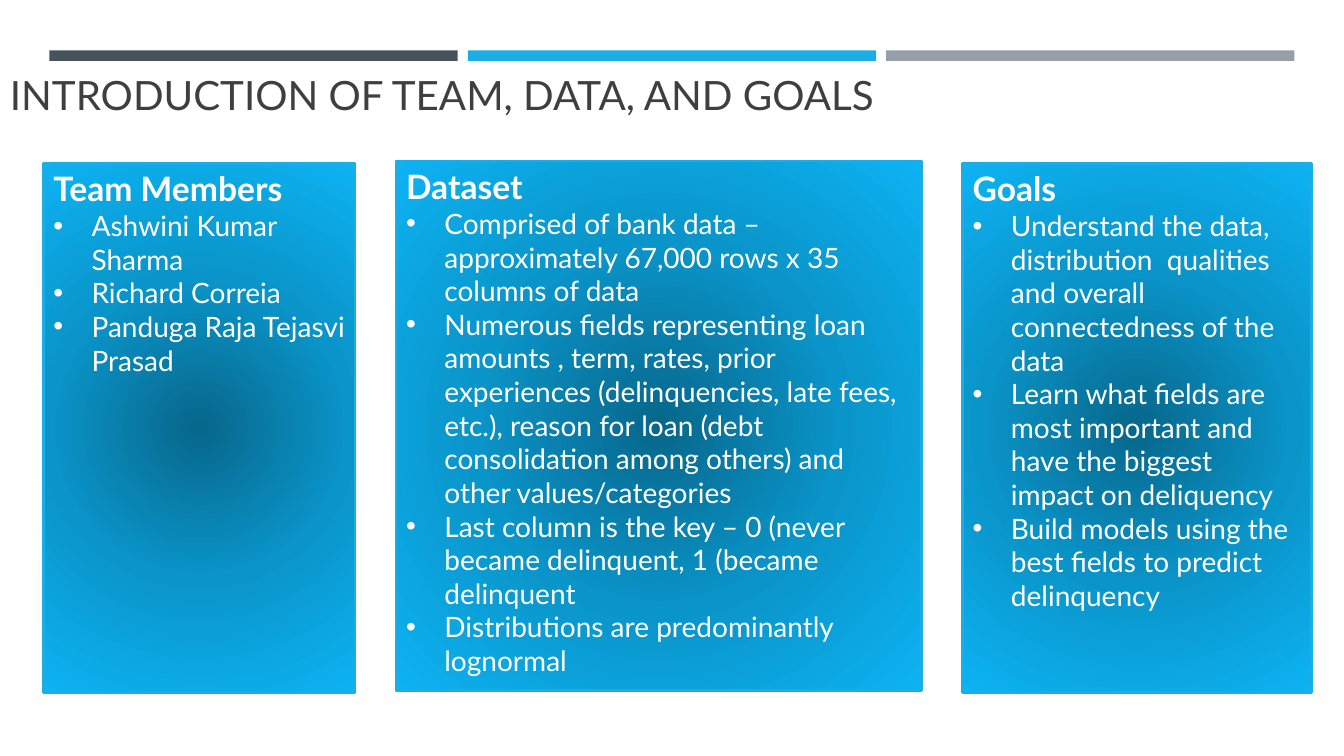
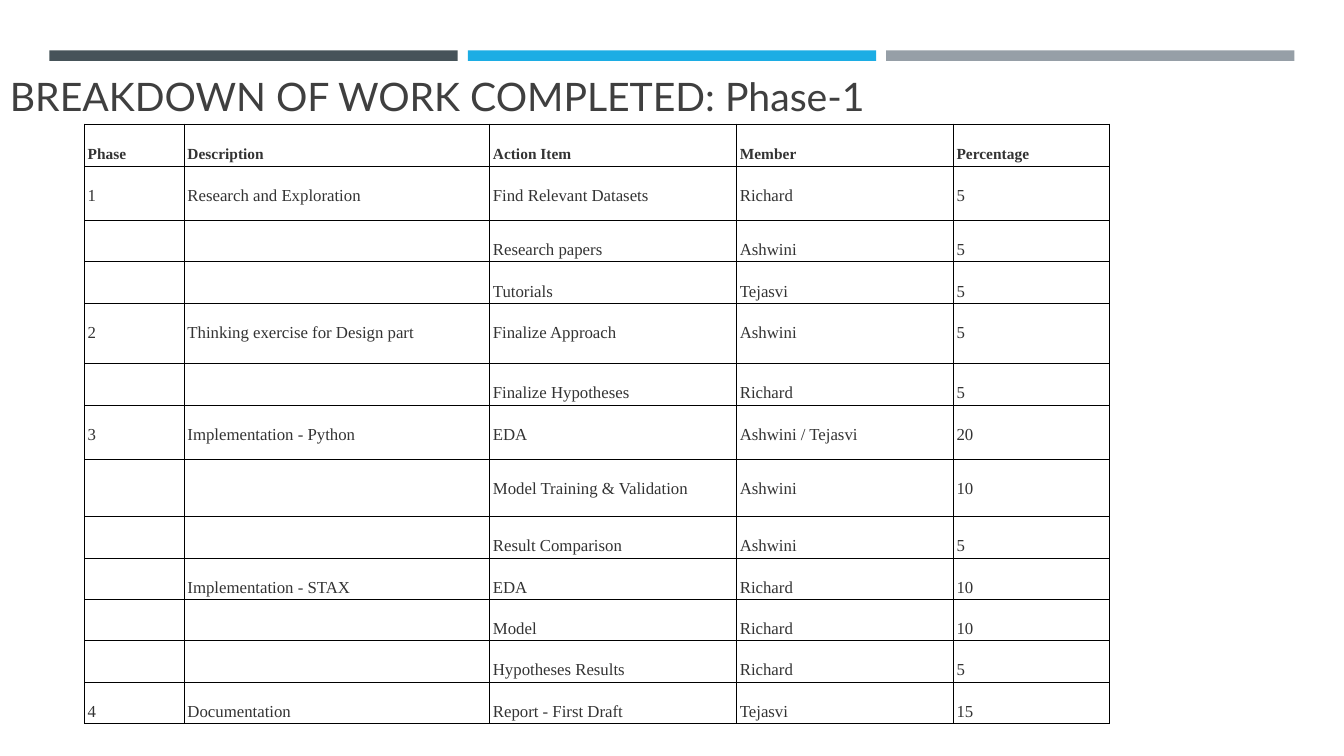
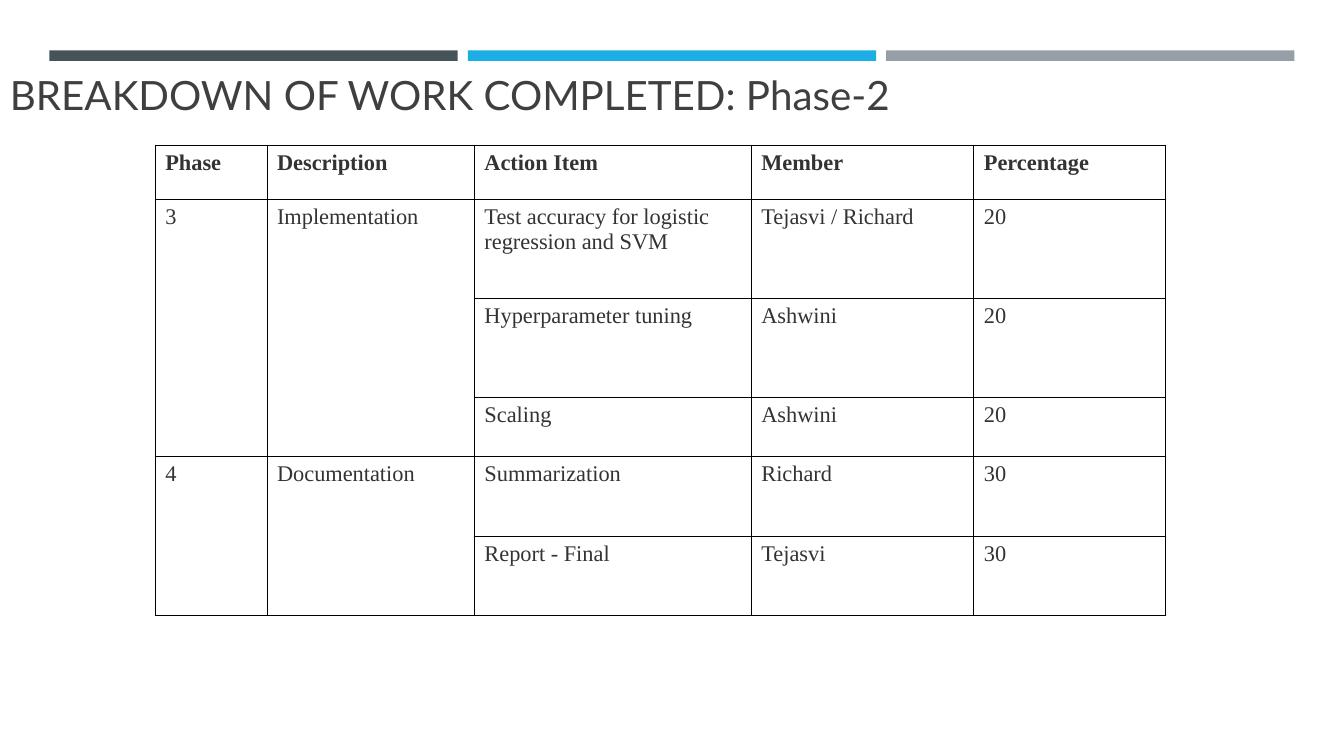
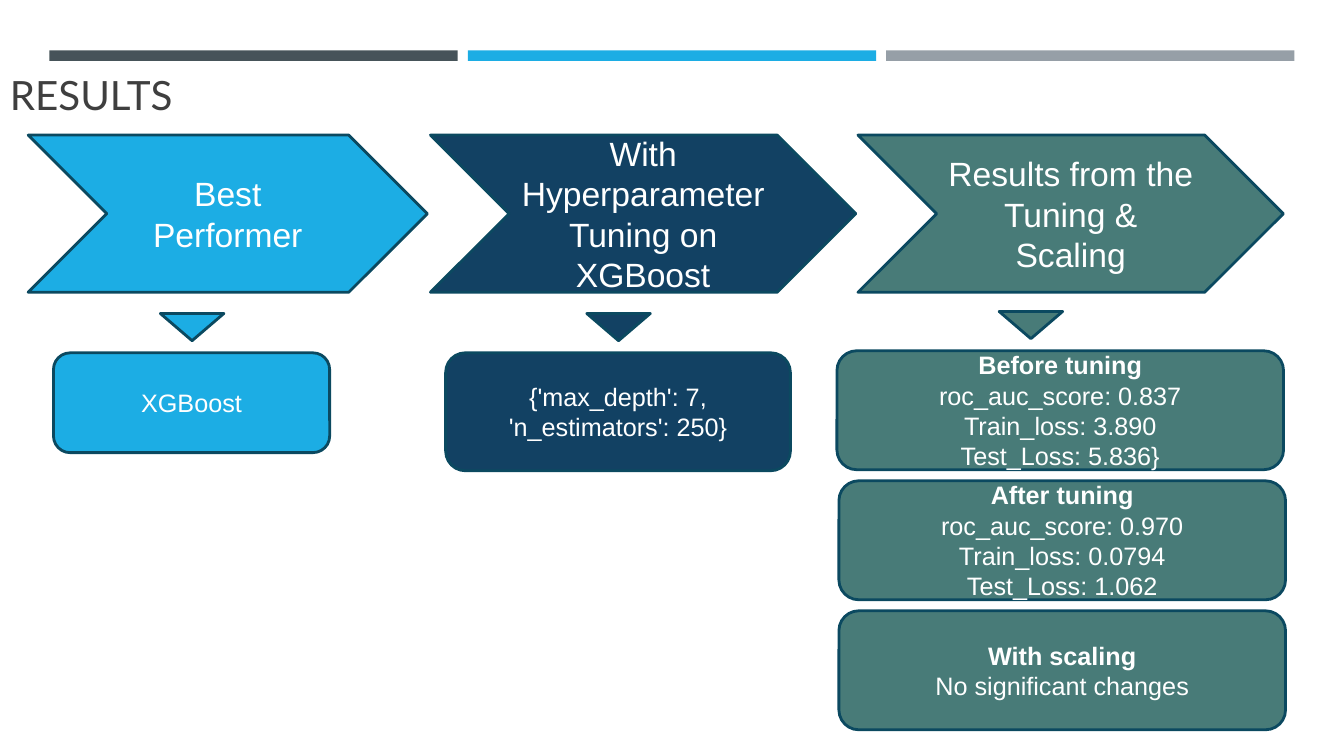
from dataclasses import dataclass

from pptx import Presentation
from pptx import oxml
from pptx import util as u
from pptx.dml import color
from pptx.enum import shapes, text
from pptx.oxml import ns

SLIDE_W, SLIDE_H = u.Inches(13.33), u.Inches(7.5)
KIND = shapes.MSO_SHAPE
ANCHOR = text.MSO_ANCHOR


@dataclass(frozen=True)
class Theme:
    # Colours
    slate: str = "465359"
    sky: str = "1CADE4"
    silver: str = "969FA7"
    navy: str = "124163"
    teal: str = "487B78"
    outline: str = "0B4960"
    title: str = "3F3F3F"
    cell: str = "333333"
    white: str = "FFFFFF"
    black: str = "000000"
    glow: tuple = ((0, "07678B"), (50, "0A95CA"), (100, "0DB3F3"))
    # Fonts and type sizes
    head_font: str = "Lato"
    table_font: str = "Times New Roman"
    flow_font: str = "Arial"
    title_size: float = 28.8
    heading: int = 24
    bullet: int = 20
    detail: int = 18


THEME = Theme()


@dataclass(frozen=True)
class Box:
    """A region, in percent of the slide's width and height."""
    x: float
    y: float
    w: float
    h: float

    def offset(self, dx, dy, w, h):
        return Box(self.x + dx, self.y + dy, w, h)

    def emu(self):
        across, down = SLIDE_W / 100, SLIDE_H / 100
        return (round(self.x * across), round(self.y * down),
                round(self.w * across), round(self.h * down))


# Shared helpers

def rgb(value):
    return color.RGBColor.from_string(value)


def add_span(para, words, font, size, tint, bold=False):
    span = para.add_run()
    span.text = words
    span.font.name, span.font.size = font, u.Pt(size)
    span.font.bold = bold
    span.font.color.rgb = rgb(tint)


def paragraphs(frame, lines):
    """Yield each line with a paragraph to hold it."""
    for index, line in enumerate(lines):
        yield (frame.add_paragraph() if index else frame.paragraphs[0]), line


def add_block(page, kind, box, fill, line=None, width=2):
    shape = page.shapes.add_shape(kind, *box.emu())
    shape.shadow.inherit = False
    shape.fill.solid()
    shape.fill.fore_color.rgb = rgb(fill)
    if line:
        shape.line.color.rgb = rgb(line)
        shape.line.width = u.Pt(width)
    else:
        shape.line.fill.background()
    shape.text_frame.word_wrap = True
    return shape


def add_radial_glow(shape, stops):
    shape.fill.gradient()
    glow = shape.element.spPr.find(ns.qn("a:gradFill"))
    marks = "".join(f'<a:gs pos="{at * 1000}"><a:srgbClr val="{tint}"/></a:gs>'
                    for at, tint in stops)
    fresh = oxml.parse_xml(
        f'<a:gradFill {ns.nsdecls("a")} rotWithShape="1"><a:gsLst>{marks}</a:gsLst>'
        '<a:path path="circle"><a:fillToRect l="50000" t="50000" r="50000" b="50000"/>'
        '</a:path></a:gradFill>')
    glow.getparent().replace(glow, fresh)


def add_bullet(para):
    props = para._p.get_or_add_pPr()
    indent = u.Inches(0.38)
    props.set("marL", str(indent))
    props.set("indent", str(-indent))
    for tag in (f'<a:buClr {ns.nsdecls("a")}><a:srgbClr val="{THEME.white}"/></a:buClr>',
                f'<a:buFont {ns.nsdecls("a")} typeface="Arial"/>',
                f'<a:buChar {ns.nsdecls("a")} char="•"/>'):
        props.append(oxml.parse_xml(tag))


def add_page(deck, title, size=THEME.title_size):
    page = deck.slides.add_slide(deck.slide_layouts[6])
    # Top bands
    first = Box(3.68, 6.67, 30.38, 1.37)
    for index, tint in enumerate((THEME.slate, THEME.sky, THEME.silver)):
        add_block(page, KIND.RECTANGLE, first.offset(index * 31.13, 0, first.w, first.h), tint)
    # Title
    frame = page.shapes.add_textbox(*Box(0, 8.67, 90.45, 7.73).emu()).text_frame
    frame.word_wrap = True
    frame.vertical_anchor = ANCHOR.BOTTOM
    add_span(frame.paragraphs[0], title, THEME.head_font, size, THEME.title)
    return page


# Bullet cards

def add_card(page, box, heading, bullets):
    card = add_block(page, KIND.RECTANGLE, box, THEME.sky, THEME.sky, 1.75)
    add_radial_glow(card, THEME.glow)
    frame = card.text_frame
    frame.vertical_anchor = ANCHOR.TOP
    for para, line in paragraphs(frame, [heading, *bullets]):
        para.alignment = text.PP_ALIGN.LEFT
        is_heading = line == heading
        if not is_heading:
            add_bullet(para)
        add_span(para, line, THEME.head_font,
                 THEME.heading if is_heading else THEME.bullet, THEME.white, is_heading)


# Work tables

@dataclass(frozen=True)
class TableStyle:
    head_size: int
    body_size: int
    side: float
    head_top: float
    body_top: float
    bottom: float


COMPACT = TableStyle(11, 12, 0.03, 0.22, 0.2, 0.01)
ROOMY = TableStyle(16, 16, 0.1, 0.05, 0.05, 0.05)
HEADER = ("Phase", "Description", "Action Item", "Member", "Percentage")


def add_borders(cell):
    props = cell._tc.get_or_add_tcPr()
    for index, side in enumerate(("lnL", "lnR", "lnT", "lnB")):
        props.insert(index, oxml.parse_xml(
            f'<a:{side} {ns.nsdecls("a")} w="{u.Pt(0.75)}"><a:solidFill>'
            f'<a:srgbClr val="{THEME.black}"/></a:solidFill></a:{side}>'))


def fill_cell(cell, words, style, is_head):
    cell.fill.solid()
    cell.fill.fore_color.rgb = rgb(THEME.white)
    cell.vertical_anchor = ANCHOR.TOP
    cell.margin_left = cell.margin_right = u.Inches(style.side)
    cell.margin_top = cell.margin_bottom = u.Inches(style.bottom)
    if words:
        cell.margin_top = u.Inches(style.head_top if is_head else style.body_top)
        add_span(cell.text_frame.paragraphs[0], words, THEME.table_font,
                 style.head_size if is_head else style.body_size, THEME.cell, is_head)
    add_borders(cell)


def add_work_table(page, box, col_shares, row_shares, body, style):
    """Draw the table; None in the body continues the cell above."""
    rows = [HEADER, *body]
    left, top, width, height = box.emu()
    table = page.shapes.add_table(len(rows), len(HEADER), left, top, width, height).table
    table.first_row = table.horz_banding = False
    for column, share in zip(table.columns, col_shares):
        column.width = round(width * share / sum(col_shares))
    for row, share in zip(table.rows, row_shares):
        row.height = round(height * share / sum(row_shares))
    for r, row in enumerate(rows):
        for c, words in enumerate(row):
            fill_cell(table.cell(r, c), words, style, r == 0)
    # Merge each cell with the continuations below it
    for c in range(len(HEADER)):
        for r in range(len(rows)):
            end = r
            while end + 1 < len(rows) and rows[end + 1][c] is None:
                end += 1
            if end > r and rows[r][c] is not None:
                table.cell(r, c).merge(table.cell(end, c))


# Result columns

def add_centred(shape, lines, size, bold_first=False):
    frame = shape.text_frame
    frame.vertical_anchor = ANCHOR.MIDDLE
    for index, (para, line) in enumerate(paragraphs(frame, lines)):
        para.alignment = text.PP_ALIGN.CENTER
        add_span(para, line, THEME.flow_font, size, THEME.white, bold_first and index == 0)


def add_result_column(page, box, tint, step, arrow_dx, card_dy, card_size, cards):
    """Draw a step chevron, a pointer and the stacked cards below it."""
    chevron = add_block(page, KIND.CHEVRON, box, tint, THEME.outline)
    add_centred(chevron, [step], THEME.heading)
    add_block(page, KIND.FLOWCHART_MERGE, box.offset(arrow_dx, card_dy - 5.2, 4.73, 3.6),
              tint, THEME.outline)
    for index, (dx, lines) in enumerate(cards):
        spot = box.offset(dx, card_dy + index * 17.2, *card_size)
        card = add_block(page, KIND.ROUNDED_RECTANGLE, spot, tint, THEME.outline)
        add_centred(card, lines, THEME.detail, len(lines) > 1)


# Slides

def intro_slide(deck):
    page = add_page(deck, "INTRODUCTION OF TEAM, DATA, AND GOALS")
    add_card(page, Box(3.23, 21.6, 23.18, 70), "Team Members", [
        "Ashwini Kumar Sharma", "Richard Correia", "Panduga Raja Tejasvi Prasad"])
    add_card(page, Box(29.48, 21.33, 39.08, 70), "Dataset", [
        "Comprised of bank data – approximately 67,000 rows x 35 columns of data",
        "Numerous fields representing loan amounts , term, rates, prior experiences "
        "(delinquencies, late fees, etc.), reason for loan (debt consolidation among "
        "others) and other values/categories",
        "Last column is the key – 0 (never became delinquent, 1 (became delinquent",
        "Distributions are predominantly lognormal"])
    add_card(page, Box(71.63, 21.6, 25.95, 70), "Goals", [
        "Understand the data, distribution  qualities and overall connectedness of the data",
        "Learn what fields are most important and have the biggest impact on deliquency",
        "Build models using the best fields to predict delinquency"])


def phase_one_slide(deck):
    page = add_page(deck, "BREAKDOWN OF WORK COMPLETED: Phase-1", 28)
    body = [
        ("1", "Research and Exploration", "Find Relevant Datasets", "Richard", "5"),
        ("", "", "Research papers", "Ashwini", "5"),
        ("", "", "Tutorials", "Tejasvi", "5"),
        ("2", "Thinking exercise for Design part", "Finalize Approach", "Ashwini", "5"),
        ("", "", "Finalize Hypotheses", "Richard", "5"),
        ("3", "Implementation - Python", "EDA", "Ashwini / Tejasvi", "20"),
        ("", "", "Model Training & Validation", "Ashwini", "10"),
        ("", "", "Result Comparison", "Ashwini", "5"),
        ("", "Implementation - STAX", "EDA", "Richard", "10"),
        ("", "", "Model", "Richard", "10"),
        ("", "", "Hypotheses Results", "Richard", "5"),
        ("4", "Documentation", "Report - First Draft", "Tejasvi", "15"),
    ]
    row_shares = [42, 54, 41, 41, 60, 41, 54, 57] + [41] * 5
    add_work_table(page, Box(6.3, 16.4, 76.28, 79.2), (99, 303, 245, 215, 155),
                   row_shares, body, COMPACT)


def phase_two_slide(deck):
    page = add_page(deck, "BREAKDOWN OF WORK COMPLETED: Phase-2")
    body = [
        ("3", "Implementation", "Test accuracy for logistic regression and SVM",
         "Tejasvi / Richard", "20"),
        (None, None, "Hyperparameter tuning", "Ashwini", "20"),
        (None, None, "Scaling", "Ashwini", "20"),
        ("4", "Documentation", "Summarization", "Richard", "30"),
        (None, None, "Report - Final", "Tejasvi", "30"),
    ]
    add_work_table(page, Box(11.55, 19.2, 75.15, 62.27), (111, 206, 275, 221, 190),
                   (54, 98, 98, 59, 79, 79), body, ROOMY)


def results_slide(deck):
    page = add_page(deck, "RESULTS")
    add_result_column(page, Box(2.1, 17.87, 29.7, 20.8), THEME.sky, "Best Performer",
                      9.83, 28.8, (20.55, 13.2), [(1.88, ["XGBoost"])])
    add_result_column(page, Box(32.03, 17.87, 31.65, 20.8), THEME.navy,
                      "With Hyperparameter Tuning on XGBoost", 11.63, 28.8, (25.65, 15.6),
                      [(1.13, ["{'max_depth': 7, 'n_estimators': 250}"])])
    add_result_column(page, Box(63.84, 17.87, 31.65, 20.8), THEME.teal,
                      "Results from the Tuning & Scaling", 10.5, 28.53, (33.23, 15.73), [
        (-1.57, ["Before tuning", "roc_auc_score: 0.837", "Train_loss: 3.890",
                 "Test_Loss: 5.836}"]),
        (-1.42, ["After tuning", "roc_auc_score: 0.970", "Train_loss: 0.0794",
                 "Test_Loss: 1.062"]),
        (-1.42, ["With scaling", "No significant changes"])])


def main():
    deck = Presentation()
    deck.slide_width, deck.slide_height = SLIDE_W, SLIDE_H
    for build in (intro_slide, phase_one_slide, phase_two_slide, results_slide):
        build(deck)
    deck.save("out.pptx")


if __name__ == "__main__":
    main()
